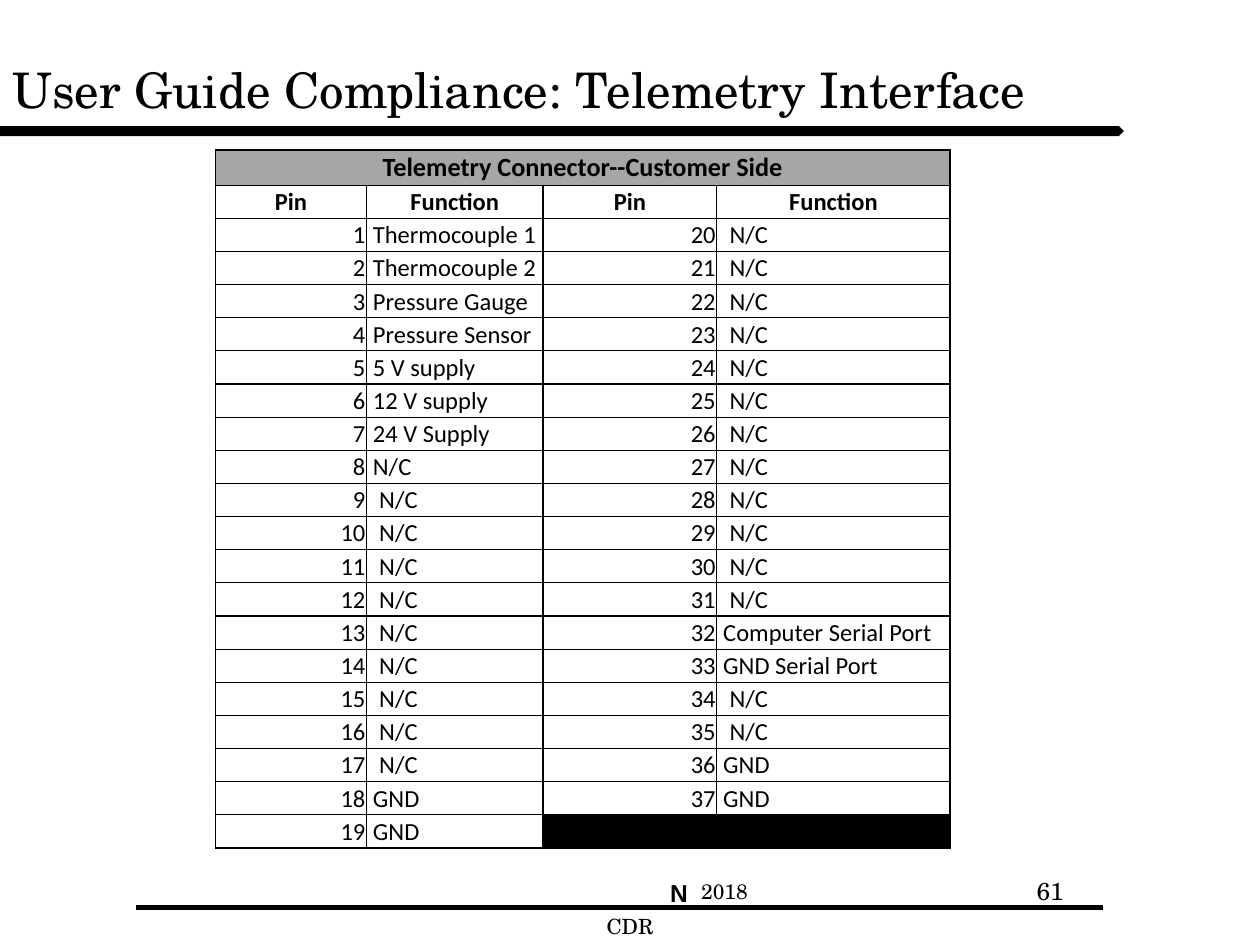
from lxml import etree
from pptx import Presentation
from pptx.dml.color import RGBColor
from pptx.enum import shapes, text
from pptx.oxml.ns import qn
from pptx.util import Emu, Inches, Pt

BLACK, GREY = "000000", "A6A6A6"
SERIF, SANS, TABLE_FONT = "TeX Gyre Schola", "Arial", "Calibri"
LEFT, CENTER, RIGHT = text.PP_ALIGN.LEFT, text.PP_ALIGN.CENTER, text.PP_ALIGN.RIGHT

PIN_COUNT, PINS_PER_SIDE, SPARE_PIN = 37, 19, 8
FUNCTIONS = {
    1: "Thermocouple 1", 2: "Thermocouple 2", 3: "Pressure Gauge",
    4: "Pressure Sensor", 5: "5 V supply", 6: "12 V supply", 7: "24 V Supply",
    SPARE_PIN: "N/C", 18: "GND", 19: "GND", 32: "Computer Serial Port",
    33: "GND Serial Port", 36: "GND", 37: "GND",
}


def color(value):
    return RGBColor.from_string(value)


def fill_solid(target, value):
    target.fill.solid()
    target.fill.fore_color.rgb = color(value)


def write(paragraph, words, align=CENTER, **font_values):
    """Put one formatted run into a paragraph."""
    paragraph.alignment = align
    run = paragraph.add_run()
    run.text = words
    run.font.color.rgb = color(BLACK)
    for name, value in font_values.items():
        setattr(run.font, name, value)


def add_text(slide, box, words, align=CENTER, anchor=text.MSO_ANCHOR.TOP, **font_values):
    shape = slide.shapes.add_textbox(*map(Inches, box))
    frame = shape.text_frame
    frame.word_wrap = True
    frame.vertical_anchor = anchor
    write(frame.paragraphs[0], words, align, **font_values)


def add_heading(slide, box):
    """Title with the pointed bar under it."""
    left, top, width, height = box
    bar = slide.shapes.add_shape(
        shapes.MSO_SHAPE.PENTAGON,
        *map(Inches, (left, top + 0.92, width - 0.08, 0.08)))
    bar.shadow.inherit = False
    fill_solid(bar, BLACK)
    bar.line.fill.background()
    add_text(slide, box, "User Guide Compliance: Telemetry Interface", LEFT,
             text.MSO_ANCHOR.MIDDLE, name=SERIF, size=Pt(28))


def add_footer(slide, box):
    """Rule with the year and page number above it and the review name below."""
    left, top, width, height = box
    middle = top + height / 2
    rule = slide.shapes.add_connector(
        shapes.MSO_CONNECTOR.STRAIGHT,
        *map(Inches, (left, middle, left + width, middle)))
    rule.line.color.rgb = color(BLACK)
    rule.line.width = Pt(3)
    etree.SubElement(rule._element.spPr, qn("a:effectLst"))

    labels = [
        ("2018", 3.17, 0, 3, 12, SERIF, False),
        ("CDR", 2.42, 0.28, 3, 12, SERIF, False),
        ("N", 2.81, 0, 3, 14, SANS, True),
        ("61", 6.09, -0.02, 2.33, 14, SERIF, False),
    ]
    for words, x, y, label_width, size, font, bold in labels:
        add_text(slide, (left + x, top + y, label_width, 0.3), words,
                 name=font, size=Pt(size), bold=bold)


def add_borders(cell, **widths):
    properties = cell._tc.get_or_add_tcPr()
    for side in "LRTB":
        line = etree.SubElement(properties, qn(f"a:ln{side}"),
                                w=str(Pt(widths[side])))
        solid = etree.SubElement(line, qn("a:solidFill"))
        etree.SubElement(solid, qn("a:srgbClr"), val=BLACK)


def fill_pin(table, pin):
    """Write the number and function of one pin."""
    side, offset = divmod(pin - 1, PINS_PER_SIDE)
    number, function = (table.cell(offset + 2, side * 2 + step) for step in (0, 1))
    font_values = {"name": TABLE_FONT, "size": Pt(14), "bold": False}
    write(number.text_frame.paragraphs[0], str(pin), RIGHT, **font_values)
    write(function.text_frame.paragraphs[0], FUNCTIONS.get(pin, "N/C"), LEFT,
          **font_values)
    function.margin_left = Inches(0.05 if pin in FUNCTIONS else 0.1)


def add_pin_table(slide, box):
    """Two side-by-side lists of connector pins under a merged header."""
    row_count, header_height = PINS_PER_SIDE + 2, Inches(0.28)
    column_widths = (1.2, 1.4, 1.38, 1.85)
    left, top, width, height = map(Inches, box)
    table = slide.shapes.add_table(row_count, len(column_widths),
                                   left, top, width, height).table
    table.first_row = table.horz_banding = False
    for column, column_width in zip(table.columns, column_widths):
        column.width = Inches(column_width)
    for row in table.rows:
        row.height = Emu((height - header_height) // (row_count - 1))
    table.rows[0].height = header_height

    # Borders, margins and fills
    last_row, last_column = row_count - 1, len(column_widths) - 1
    for r in range(row_count):
        for c in range(len(column_widths)):
            cell = table.cell(r, c)
            add_borders(cell, L=1 if c == 0 else 0.75,
                        R=1 if c == last_column else 0.75,
                        T=1 if r == 0 else 0.75,
                        B=1 if r == last_row else 0.75)
            cell.vertical_anchor = text.MSO_ANCHOR.BOTTOM
            for side in ("left", "right", "top", "bottom"):
                setattr(cell, f"margin_{side}", Inches(0.01))
            if r == 0:
                fill_solid(cell, GREY)
            elif r == last_row and c >= 2:
                fill_solid(cell, BLACK)
                end = cell.text_frame.paragraphs[0]._p.get_or_add_endParaRPr()
                end.set("sz", "1400")
            else:
                cell.fill.background()

    # Headers
    table.cell(0, 0).merge(table.cell(0, last_column))
    write(table.cell(0, 0).text_frame.paragraphs[0],
          "Telemetry Connector--Customer Side",
          name=TABLE_FONT, size=Pt(15), bold=True)
    for c, words in enumerate(("Pin", "Function") * 2):
        write(table.cell(1, c).text_frame.paragraphs[0], words,
              name=TABLE_FONT, size=Pt(14), bold=True)

    for pin in range(1, PIN_COUNT + 1):
        fill_pin(table, pin)


def main():
    presentation = Presentation()
    presentation.slide_width, presentation.slide_height = Inches(10), Inches(7.5)
    slide = presentation.slides.add_slide(presentation.slide_layouts[6])
    add_footer(slide, (1.08, 6.92, 7.67, 0.56))
    add_heading(slide, (0, 0.08, 9, 1.25))
    add_pin_table(slide, (1.71, 1.19, 5.83, 5.54))
    presentation.save("out.pptx")


if __name__ == "__main__":
    main()
